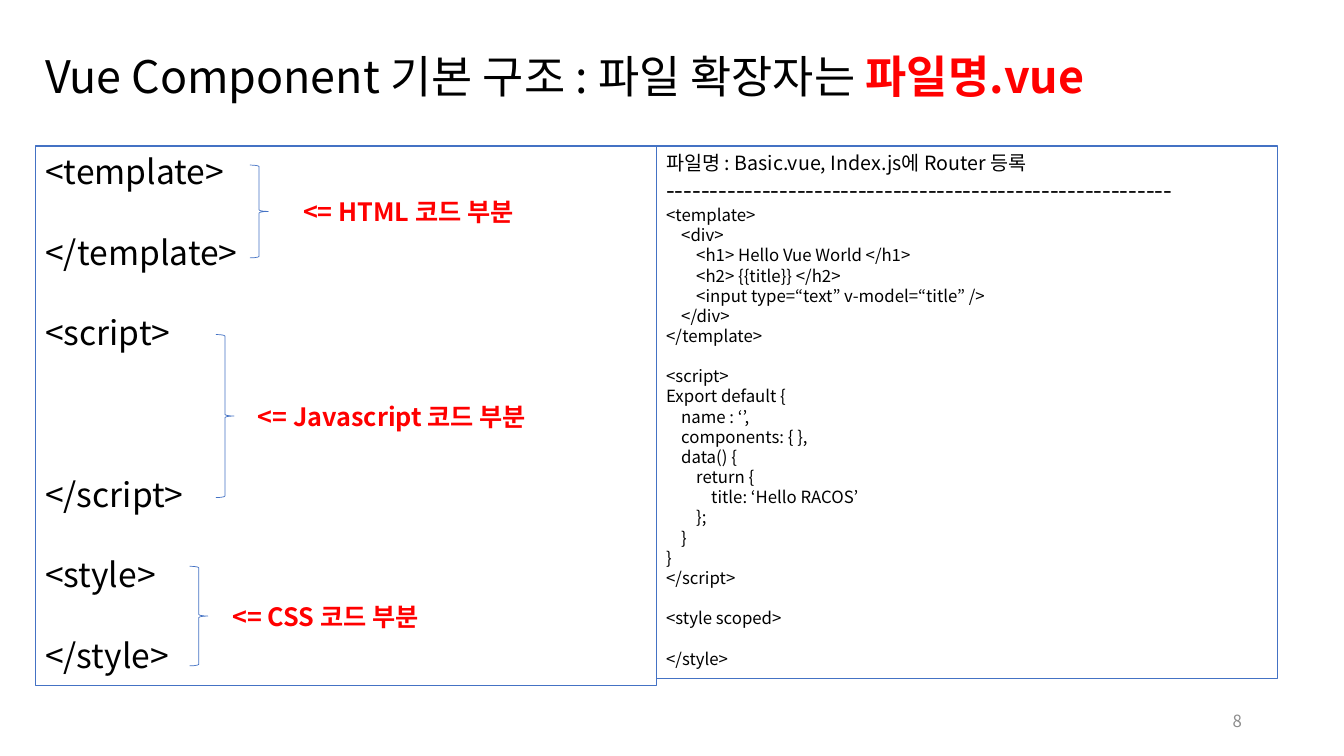
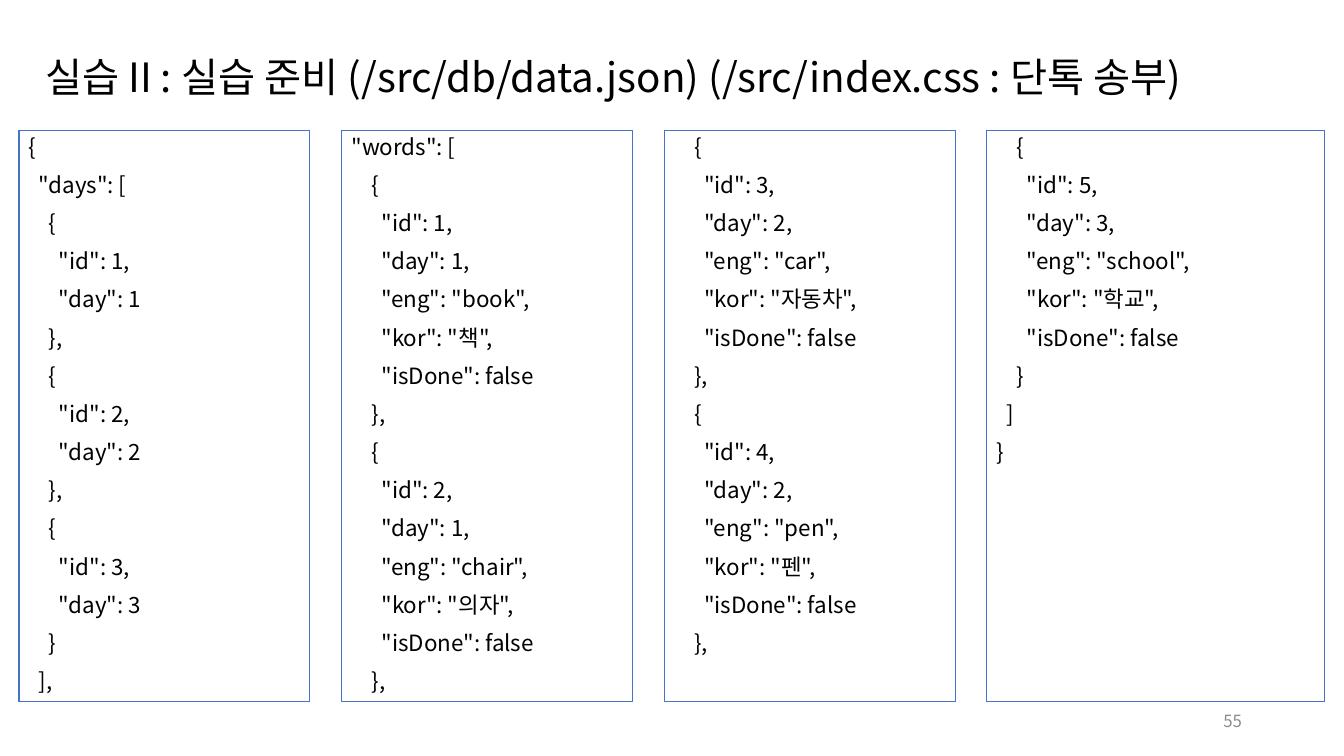
from lxml.etree import SubElement
from pptx import Presentation
from pptx.dml.color import RGBColor
from pptx.enum.shapes import MSO_SHAPE
from pptx.enum.text import MSO_ANCHOR, PP_ALIGN
from pptx.oxml.ns import qn
from pptx.util import Cm, Pt

FONT = "Noto Sans CJK KR"
BLACK, RED, BLUE, GREY = "000000", "FF0000", "4472C4", "8C8C8C"
LINE_HEIGHT = 1.2

OUTLINE = """<template>

</template>

<script>



</script>

<style>

</style>"""

BRACES = [
    (5.41, 0.48, 2.34, 6.5, "<= HTML 코드 부분"),
    (4.55, 4.75, 4.11, 5.36, "<= Javascript 코드 부분"),
    (3.89, 10.59, 2.51, 4.72, "<= CSS 코드 부분"),
]

EXAMPLE = """파일명 : Basic.vue, Index.js에 Router 등록
----------------------------------------------------------
<template>
    <div>
        <h1> Hello Vue World </h1>
        <h2> {{title}} </h2>
        <input type=“text” v-model=“title” />
    </div>
</template>

<script>
Export default {
    name : ‘’,
    components: { },
    data() {
        return {
            title: ‘Hello RACOS’
        };
    }
}
</script>

<style scoped>

</style>"""

JSON_COLUMNS = [
    """{
  "days": [
    {
      "id": 1,
      "day": 1
    },
    {
      "id": 2,
      "day": 2
    },
    {
      "id": 3,
      "day": 3
    }
  ],""",
    """"words": [
    {
      "id": 1,
      "day": 1,
      "eng": "book",
      "kor": "책",
      "isDone": false
    },
    {
      "id": 2,
      "day": 1,
      "eng": "chair",
      "kor": "의자",
      "isDone": false
    },""",
    """    {
      "id": 3,
      "day": 2,
      "eng": "car",
      "kor": "자동차",
      "isDone": false
    },
    {
      "id": 4,
      "day": 2,
      "eng": "pen",
      "kor": "펜",
      "isDone": false
    },""",
    """    {
      "id": 5,
      "day": 3,
      "eng": "school",
      "kor": "학교",
      "isDone": false
    }
  ]
}""",
]


def color(value):
    return RGBColor.from_string(value)


def style(span, size, ink=BLACK, bold=False):
    span.font.size = Pt(size)
    span.font.bold = bold
    span.font.color.rgb = color(ink)
    span.font.name = FONT
    SubElement(span.font._element, qn("a:ea"), typeface=FONT)


def add_label(page, left, top, width, height, text, size, ink=BLACK, bold=False):
    box = page.shapes.add_textbox(Cm(left), Cm(top), Cm(width), Cm(height))
    box.text_frame.word_wrap = True
    box.text_frame.vertical_anchor = MSO_ANCHOR.MIDDLE
    para = box.text_frame.paragraphs[0]
    para.text = text
    style(para.runs[0], size, ink, bold)
    return para


def add_outline_shape(page, kind, left, top, width, height, weight):
    shape = page.shapes.add_shape(kind, Cm(left), Cm(top), Cm(width), Cm(height))
    shape.shadow.inherit = False
    shape.fill.background()
    shape.line.color.rgb = color(BLUE)
    shape.line.width = Pt(weight)
    return shape


def add_code_box(page, left, top, width, height, code, size,
                 heading_sizes=(), spacing=1.0, gap=0):
    box = add_outline_shape(page, MSO_SHAPE.RECTANGLE, left, top, width, height, 0.75)
    frame = box.text_frame
    frame.word_wrap = True
    frame.vertical_anchor = MSO_ANCHOR.TOP
    blank_lines = 0
    count = 0
    for line in code.split("\n"):
        if not line:
            blank_lines += 1
            continue
        para = frame.add_paragraph() if count else frame.paragraphs[0]
        para.text = line
        para.alignment = PP_ALIGN.LEFT
        para.line_spacing = spacing
        if count:
            para.space_before = Pt(gap + blank_lines * size * LINE_HEIGHT)
        style(para.runs[0], heading_sizes[count] if count < len(heading_sizes) else size)
        blank_lines = 0
        count += 1


def add_braces(page, left, top):
    label_height = 1.02
    for x, y, height, label_x, text in BRACES:
        add_outline_shape(page, MSO_SHAPE.RIGHT_BRACE, left + x, top + y, 0.46, height, 0.5)
        label_top = top + y + (height - label_height) / 2
        add_label(page, left + label_x, label_top, 7.8, label_height, text, 18, RED, True)


def add_page(deck, title, number, title_size, emphasis=""):
    page = deck.slides.add_slide(deck.slide_layouts[6])
    para = add_label(page, 0.89, 1.02, 32.16, 1.96, title, title_size)
    para.line_spacing = 0.9
    if emphasis:
        span = para.add_run()
        span.text = emphasis
        style(span, title_size, RED, True)
    footer = add_label(page, 23.93, 17.65, 7.62, 1.02, str(number), 12, GREY)
    footer.alignment = PP_ALIGN.RIGHT
    return page


def build_structure_page(deck):
    page = add_page(deck, "Vue Component 기본 구조 : 파일 확장자는 ", 8, 32, "파일명.vue")
    left, top, width = 0.89, 3.68, 15.65
    add_code_box(page, left, top, width, 13.59, OUTLINE, 24)
    add_braces(page, left, top)
    add_code_box(page, left + width, top, width, 13.41, EXAMPLE, 12, (14, 18))


def build_data_page(deck):
    title = "실습 II : 실습 준비 (/src/db/data.json) (/src/index.css : 단톡 송부)"
    page = add_page(deck, title, 55, 28.8)
    left, pitch = 0.48, 8.13
    for index, code in enumerate(JSON_COLUMNS):
        width = 8.51 if index == len(JSON_COLUMNS) - 1 else 7.33
        add_code_box(page, left + index * pitch, 3.3, width, 14.38, code, 16,
                     spacing=0.9, gap=10)


def main():
    deck = Presentation()
    deck.slide_width, deck.slide_height = Cm(33.87), Cm(19.05)
    build_structure_page(deck)
    build_data_page(deck)
    deck.save("out.pptx")


if __name__ == "__main__":
    main()
